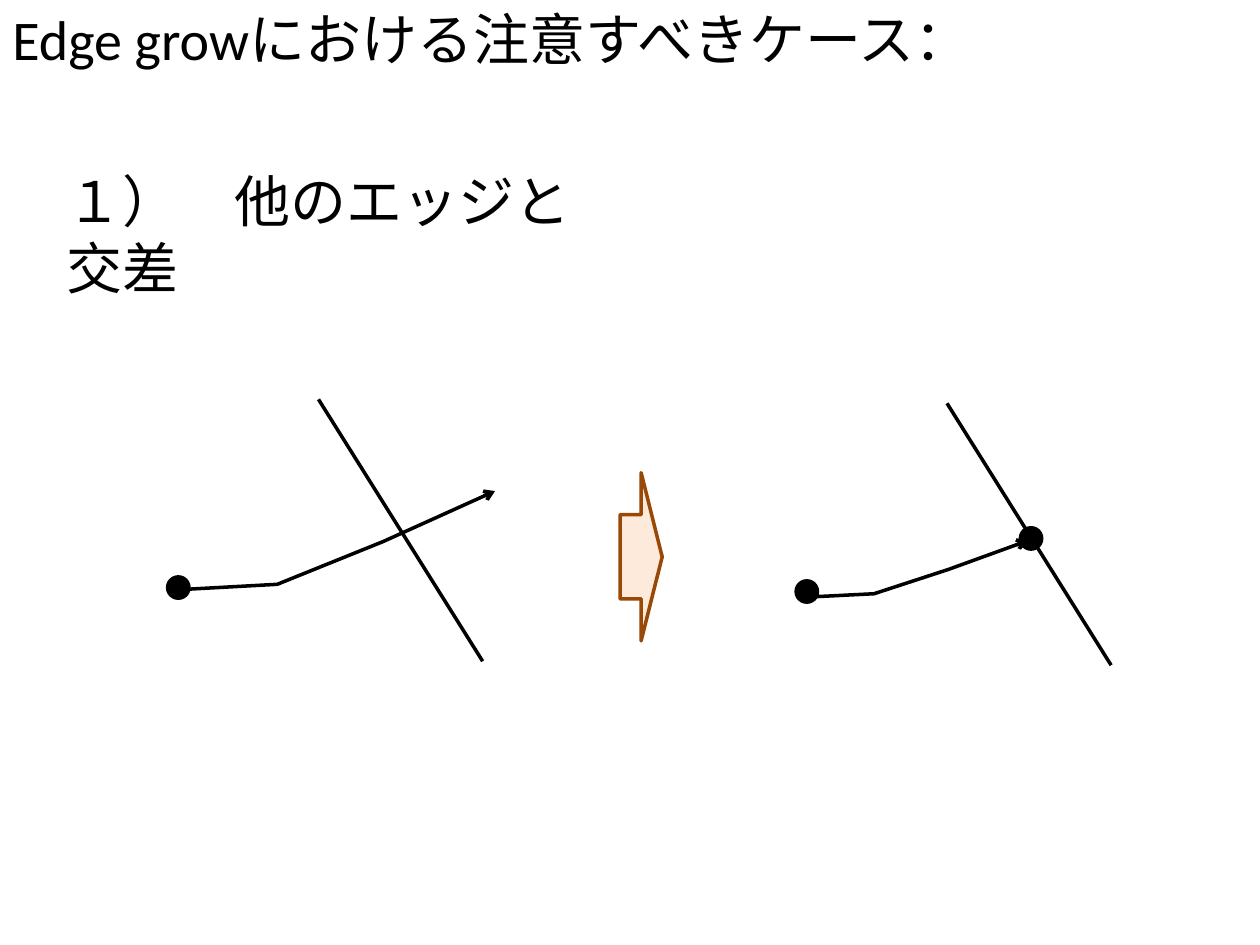
from pptx import Presentation
from pptx.dml.color import RGBColor
from pptx.enum.shapes import MSO_CONNECTOR, MSO_SHAPE
from pptx.oxml.ns import qn
from pptx.util import Cm, Pt
from lxml.etree import SubElement

HUES = {"ink": "000000", "peach": "FDEADA", "brown": "984807"}
FONT = {"name": "Calibri", "size": Pt(32)}
DOT = 0.43  # node diameter, cm


def hue(name):
    return RGBColor.from_string(HUES[name])


def stroke(shape, name="ink"):
    shape.line.color.rgb = hue(name)
    shape.line.width = Pt(2)


def solid(slide, kind, box, fill, edge):
    """Filled and outlined preset shape."""
    shape = slide.shapes.add_shape(kind, *map(Cm, box))
    shape.shadow.inherit = False
    shape.fill.solid()
    shape.fill.fore_color.rgb = hue(fill)
    stroke(shape, edge)


def label(slide, box, text):
    """Heading text wrapped in its box."""
    frame = slide.shapes.add_textbox(*map(Cm, box)).text_frame
    frame.word_wrap = True
    run = frame.paragraphs[0].add_run()
    run.text = text
    for key, value in FONT.items():
        setattr(run.font, key, value)
    run.font.color.rgb = hue("ink")


def node(slide, x, y):
    solid(slide, MSO_SHAPE.OVAL, (x, y, DOT, DOT), "ink", "ink")


def edge(slide, start, end):
    """Straight existing edge."""
    line = slide.shapes.add_connector(
        MSO_CONNECTOR.STRAIGHT, *map(Cm, start + end))
    stroke(line)
    SubElement(line._element.spPr, qn("a:effectLst"))


def growth(slide, points):
    """Open bent path ending in an arrowhead."""
    spots = [(Cm(x), Cm(y)) for x, y in points]
    build = slide.shapes.build_freeform(*spots[0])
    build.add_line_segments(spots[1:], close=False)
    shape = build.convert_to_shape()
    shape.shadow.inherit = False
    shape.fill.background()
    stroke(shape)
    SubElement(shape.line._get_or_add_ln(), qn("a:tailEnd"), type="arrow")


def scene(slide, left, top, bends, stop=None):
    """Growing edge that meets another edge, with an optional stop node."""
    def at(x, y):
        return left + x, top + y

    node(slide, *at(0, 3.58))
    edge(slide, at(3.04, 0), at(6.35, 5.28))
    growth(slide, [at(x, y) for x, y in bends])
    if stop:
        node(slide, *at(*stop))


def main():
    deck = Presentation()
    deck.slide_width, deck.slide_height = Cm(25.4), Cm(19.05)
    slide = deck.slides.add_slide(deck.slide_layouts[6])

    # Headings
    label(slide, (0, -0.03, 18.77, 1.62), "Edge growにおける注意すべきケース：")
    label(slide, (1.09, 3.23, 10.92, 1.62), "１）　他のエッジと交差")

    # Before: the path crosses the edge
    scene(slide, 3.38, 8.05,
          [(0.2, 3.84), (2.21, 3.73), (4.34, 2.87), (6.6, 1.85)])

    # Step arrow
    solid(slide, MSO_SHAPE.RIGHT_ARROW, (12.5, 9.53, 0.85, 3.39),
          "peach", "brown")

    # After: the path stops at a new node
    scene(slide, 16.05, 8.13,
          [(0.18, 3.91), (1.57, 3.84), (3.07, 3.35), (4.67, 2.77)],
          stop=(4.52, 2.51))

    deck.save("out.pptx")


if __name__ == "__main__":
    main()
